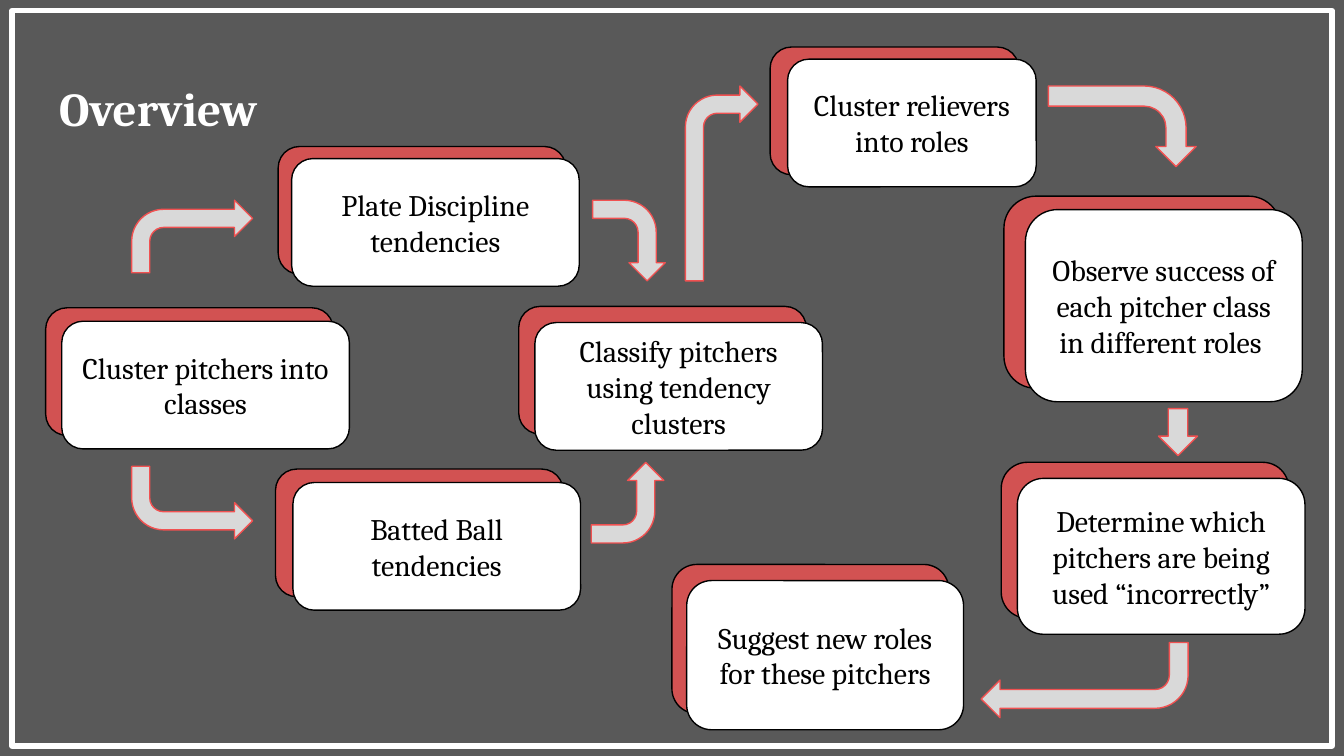
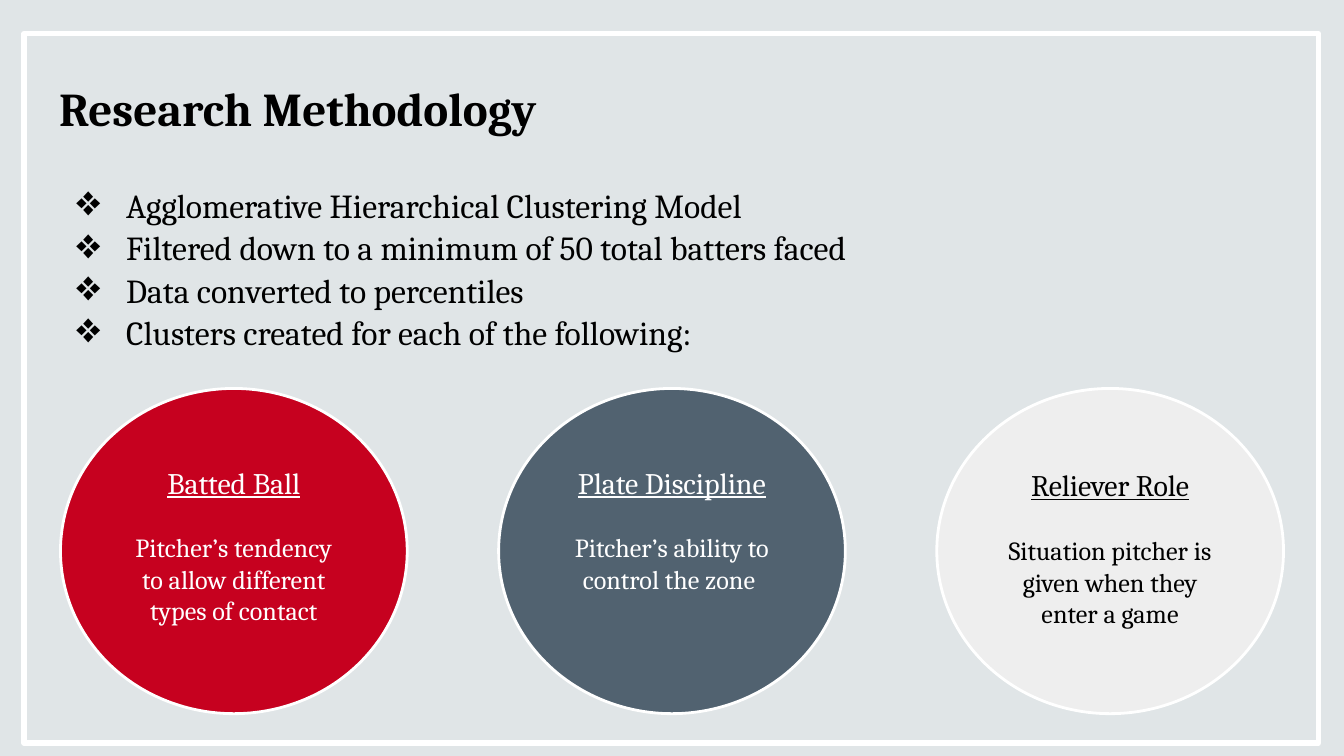
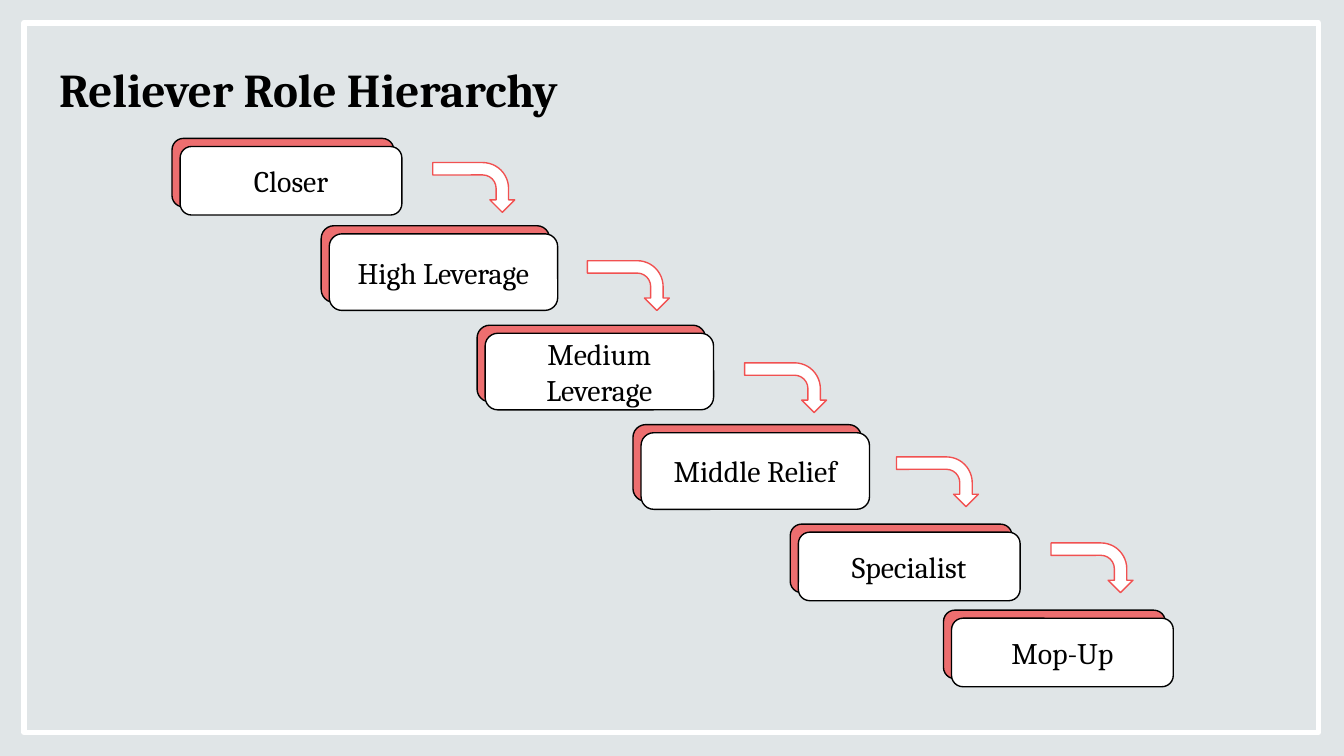
"""Build three slides on how pitchers are grouped and given roles."""
import lxml.etree
import pptx
import pptx.dml.color
import pptx.enum.shapes
import pptx.enum.text
import pptx.oxml.ns
import pptx.util

Inches = pptx.util.Inches
Kind = pptx.enum.shapes.MSO_SHAPE
Align = pptx.enum.text.PP_ALIGN
Anchor = pptx.enum.text.MSO_ANCHOR

FONT = "Cambria"
COLORS = {
    "dark": "595959",
    "pale": "E0E5E7",
    "white": "FFFFFF",
    "black": "000000",
    "coral": "F15151",
    "silver": "D9D9D9",
    "red": "C6011F",
    "slate": "516270",
    "light": "EEEEEE",
}


def color(name):
    return pptx.dml.color.RGBColor.from_string(COLORS[name])


def add_tag(parent, tag, **attrs):
    return lxml.etree.SubElement(parent, pptx.oxml.ns.qn(tag), **attrs)


def write(frame, text, size=16, ink="black", bold=None, under=None,
          align=Align.CENTER, before=None, spacing=None, bullet=None):
    first = frame.paragraphs[0]
    para = frame.add_paragraph() if first.runs else first
    if bullet:
        props = para._p.get_or_add_pPr()
        props.set("marL", str(Inches(0.5)))
        props.set("indent", str(Inches(-0.38)))
        add_tag(add_tag(props, "a:buClr"), "a:srgbClr", val=COLORS[ink])
        add_tag(props, "a:buFont", typeface=FONT)
        add_tag(props, "a:buChar", char=bullet)
    para.alignment = align
    if before:
        para.space_before = pptx.util.Pt(before)
    if spacing:
        para.line_spacing = spacing
    run = para.add_run()
    run.text = text
    run.font.name = FONT
    run.font.size = pptx.util.Pt(size)
    run.font.bold = bold
    run.font.underline = under
    run.font.color.rgb = color(ink)


def set_frame(frame, anchor=Anchor.TOP, top=0.1):
    frame.word_wrap = True
    frame.auto_size = pptx.enum.text.MSO_AUTO_SIZE.NONE
    frame.vertical_anchor = anchor
    frame.margin_left = frame.margin_right = frame.margin_bottom = Inches(0.1)
    frame.margin_top = Inches(top)
    return frame


def add_shape(slide, kind, box, fill, line, weight=0.75, alpha=None):
    shape = slide.shapes.add_shape(kind, *map(Inches, box))
    shape.shadow.inherit = False
    if fill:
        shape.fill.solid()
        shape.fill.fore_color.rgb = color(fill)
    else:
        shape.fill.background()
    if alpha:
        tint = shape.element.spPr.find(".//" + pptx.oxml.ns.qn("a:srgbClr"))
        add_tag(tint, "a:alpha", val=str(alpha * 1000))
    shape.line.color.rgb = color(line)
    shape.line.width = pptx.util.Pt(weight)
    return shape


def add_slide(deck, title, back, ink, border, top=0.49, width=9.32):
    slide = deck.slides.add_slide(deck.slide_layouts[5])
    slide.background.fill.solid()
    slide.background.fill.fore_color.rgb = color(back)
    add_shape(slide, Kind.RECTANGLE, border, None, "white", 3)
    head = slide.shapes.title
    head.left, head.top = Inches(0.34), Inches(top)
    head.width, head.height = Inches(width), Inches(0.63)
    write(set_frame(head.text_frame), title, size=25.2, ink=ink, bold=True,
          align=Align.LEFT)
    return slide


def add_card(slide, text, left, top, width, height, right=0.06, down=0.06):
    add_shape(slide, Kind.ROUNDED_RECTANGLE, (left, top, width, height),
              "coral", "black", alpha=80)
    front = add_shape(slide, Kind.ROUNDED_RECTANGLE,
                      (left + right, top + down, width, height),
                      "white", "black")
    write(set_frame(front.text_frame, Anchor.MIDDLE), text)


def add_bend(slide, box, turn=0, flip=False, bend=0.44, fill="silver"):
    arrow = add_shape(slide, Kind.BENT_ARROW, box, fill, "coral")
    arrow.adjustments[3] = bend
    arrow.rotation = turn
    if flip:
        arrow.element.spPr.xfrm.set("flipH", "1")


def add_disc(slide, left, fill, ink, head, body, top):
    disc = add_shape(slide, Kind.OVAL, (left, 2.89, 2.58, 2.42),
                     fill, "white", 1.5)
    frame = set_frame(disc.text_frame, top=top)
    write(frame, head, ink=ink, under=True)
    write(frame, body, size=14, ink=ink, before=17)


def build_flow(deck):
    slide = add_slide(deck, "Overview", "dark", "white",
                      (0.09, 0.08, 9.82, 5.47), width=1.92)
    cards = [
        ("Suggest new roles for these pitchers",
         5, 4.2, 2.06, 1.11, 0.11, 0.12),
        ("Observe success of each pitcher class in different roles ",
         7.47, 1.46, 2.06, 1.43, 0.16, 0.1),
        ("Cluster relievers into roles", 5.73, 0.35, 1.85, 0.95, 0.13, 0.09),
        ("Determine which pitchers are being used “incorrectly”",
         7.45, 3.44, 2.14, 1.16, 0.12, 0.12),
        ("Cluster pitchers into classes", 0.34, 2.29, 2.14, 0.95, 0.12, 0.1),
        ("Plate Discipline tendencies", 2.07, 1.09, 2.14, 0.95, 0.1, 0.09),
        ("Batted Ball tendencies", 2.05, 3.49, 2.14, 0.95, 0.13, 0.1),
        ("Classify pitchers using tendency clusters",
         3.86, 2.28, 2.14, 0.95, 0.12, 0.12),
    ]
    for card in cards:
        add_card(slide, *card)
    add_bend(slide, (0.98, 1.49, 0.9, 0.54))
    add_bend(slide, (0.98, 3.47, 0.9, 0.54), turn=180, flip=True)
    add_bend(slide, (4.38, 1.52, 0.6, 0.54), turn=90)
    add_bend(slide, (4.37, 3.47, 0.6, 0.54), turn=90, flip=True)
    add_bend(slide, (5.1, 0.64, 0.54, 1.45))
    add_bend(slide, (8.05, 0.39, 0.6, 1.1), turn=90, bend=0.52)
    add_shape(slide, Kind.DOWN_ARROW, (8.62, 3.04, 0.29, 0.35),
              "silver", "coral")
    add_bend(slide, (7.3, 4.78, 1.54, 0.56), turn=180)


def build_method(deck):
    slide = add_slide(deck, "Research Methodology", "pale", "black",
                      (0.18, 0.25, 9.63, 5.28))
    body = slide.shapes.add_textbox(*map(Inches, (0.34, 1.26, 9.32, 1.55)))
    frame = set_frame(body.text_frame)
    for point in ("Agglomerative Hierarchical Clustering Model",
                  "Filtered down to a minimum of 50 total batters faced",
                  "Data converted to percentiles",
                  "Clusters created for each of the following:"):
        write(frame, point, size=18, align=Align.LEFT, spacing=1.05,
              bullet="❖")
    discs = [
        ("red", "white", "Batted Ball",
         "Pitcher’s tendency to allow different types of contact", 0.21),
        ("slate", "white", "Plate Discipline",
         "Pitcher’s ability to control the zone ", 0.21),
        ("light", "black", "Reliever Role",
         "Situation pitcher is given when they enter a game", 0.23),
    ]
    for index, disc in enumerate(discs):
        add_disc(slide, 0.45 + 3.26 * index, *disc)


def build_steps(deck):
    slide = add_slide(deck, "Reliever Role Hierarchy", "pale", "black",
                      (0.18, 0.17, 9.63, 5.28), top=0.35)
    small, large = (1.65, 0.51), (1.7, 0.57)
    steps = [
        ("Closer", 1.28, 1.03, small),
        ("High Leverage", 2.39, 1.68, large),
        ("Medium Leverage", 3.55, 2.42, large),
        ("Middle Relief", 4.71, 3.16, large),
        ("Specialist", 5.88, 3.9, small),
        ("Mop-Up", 7.02, 4.54, small),
    ]
    for text, left, top, size in steps:
        add_card(slide, text, left, top, *size)
    for left, top in ((3.34, 1.09), (4.49, 1.82), (5.66, 2.58),
                      (6.79, 3.28), (7.94, 3.92)):
        add_bend(slide, (left, top, 0.37, 0.61), turn=90, bend=0.52,
                 fill="white")


def main():
    deck = pptx.Presentation()
    deck.slide_width = Inches(10)
    deck.slide_height = deck.slide_width * 9 // 16
    build_flow(deck)
    build_method(deck)
    build_steps(deck)
    deck.save("out.pptx")


if __name__ == "__main__":
    main()
